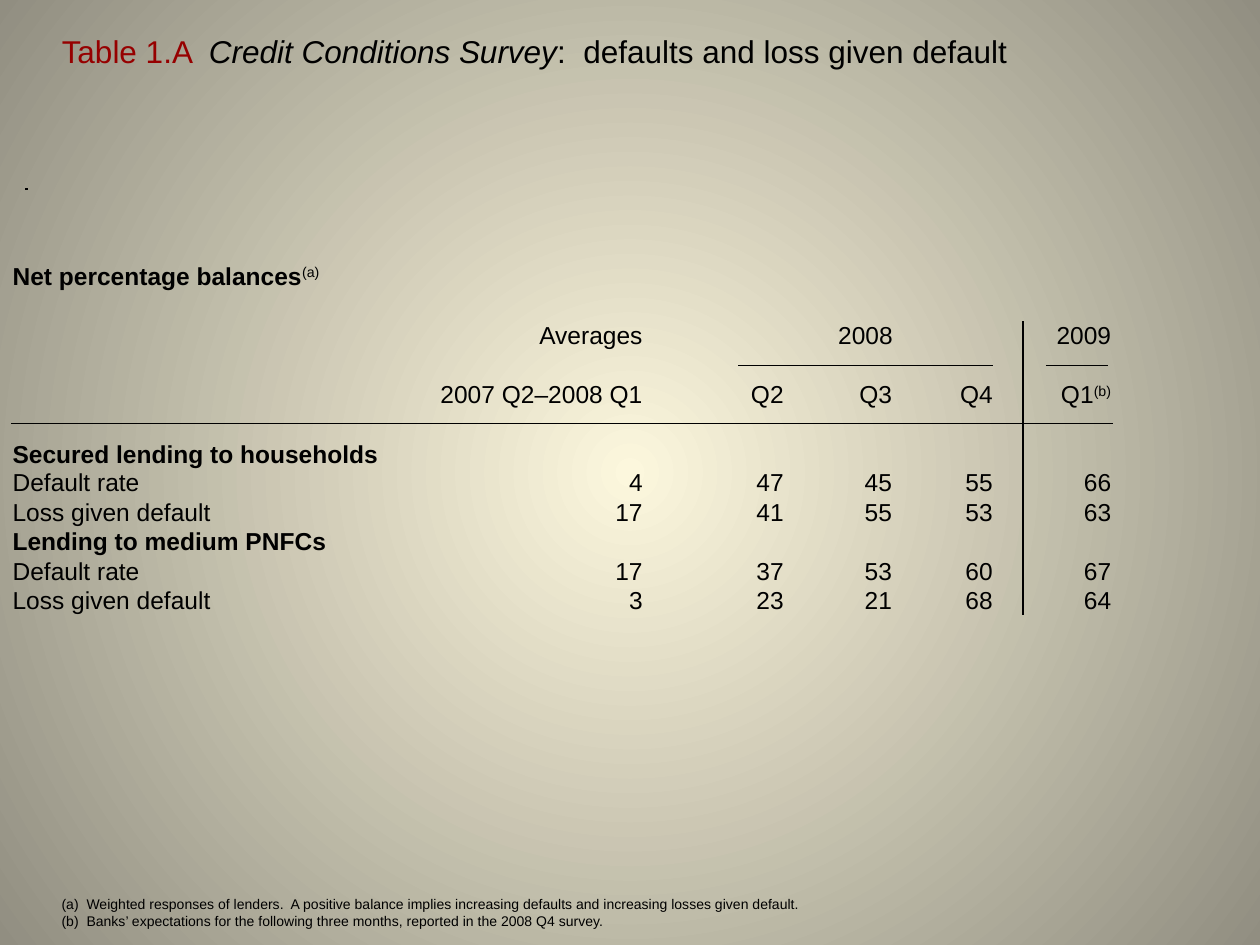
from pptx import Presentation
from pptx.util import Inches, Pt
from pptx.dml.color import RGBColor
from pptx.enum import shapes, text
from pptx.oxml import parse_xml
from pptx.oxml.ns import qn, nsdecls

L, R, C = text.PP_ALIGN.LEFT, text.PP_ALIGN.RIGHT, text.PP_ALIGN.CENTER


def rgb(code):
    return RGBColor.from_string(code)


def write(para, parts, size, align=L):
    para.alignment = align
    for words, color, bold, slant in parts:
        run = para.add_run()
        run.text = words
        font = run.font
        font.name, font.size = "Arial", Pt(size)
        font.bold, font.italic = bold, slant
        font.color.rgb = rgb(color)


prs = Presentation()
prs.slide_width, prs.slide_height = Inches(10), Inches(7.5)
slide = prs.slides.add_slide(prs.slide_layouts[5])

fill = slide.background.fill
fill.gradient()
for stop, code in zip(fill.gradient_stops, ("FCF7DD", "918E81")):
    stop.color.rgb = rgb(code)
grad = slide.element.find(".//" + qn("a:gradFill"))
grad.replace(grad.find(qn("a:lin")), parse_xml(
    f'<a:path {nsdecls("a")} path="circle">'
    '<a:fillToRect l="50000" t="50000" r="50000" b="50000"/></a:path>'))

title = slide.shapes.title
title.left, title.top = Inches(0.39), Inches(0.2)
title.width, title.height = Inches(9.14), Inches(0.4)
frame = title.text_frame
frame.vertical_anchor = text.MSO_ANCHOR.TOP
frame.auto_size = text.MSO_AUTO_SIZE.NONE
write(frame.paragraphs[0], [
    ("Table 1.A  ", "960000", False, False),
    ("Credit Conditions Survey", "000000", False, True),
    (":  defaults and loss given default", "000000", False, False)], 18)

notes = [
    "(a)  Weighted responses of lenders.  A positive balance implies "
    "increasing defaults and increasing losses given default.",
    "(b)  Banks’ expectations for the following three months, "
    "reported in the 2008 Q4 survey."]
frame = slide.shapes.add_textbox(
    Inches(0.39), Inches(7.06), Inches(9.22), Inches(0.37)).text_frame
frame.word_wrap = True
for i, note in enumerate(notes):
    para = frame.add_paragraph() if i else frame.paragraphs[0]
    write(para, [(note, "000000", False, False)], 8)

rows = [
    ["Net percentage balances|(a)", "", "", "", "", ""],
    ["", "Averages", "2008", "", "", "2009"],
    ["", "2007 Q2–2008 Q1", "Q2", "Q3", "Q4", "Q1|(b)"],
    ["Secured lending to households", "", "", "", "", ""],
    ["Default rate", "4", "47", "45", "55", "66"],
    ["Loss given default", "17", "41", "55", "53", "63"],
    ["Lending to medium PNFCs", "", "", "", "", ""],
    ["Default rate", "17", "37", "53", "60", "67"],
    ["Loss given default", "3", "23", "21", "68", "64"]]
edges = [0.1, 3.4, 5.86, 6.22, 7.08, 7.88, 8.82]
tall = [0.47] * 3 + [0.35] + [0.23] * 5
heads = (0, 3, 6)

grid = slide.shapes.add_table(
    len(rows), 6, Inches(0.1), Inches(1.96),
    Inches(edges[-1] - edges[0]), Inches(sum(tall))).table
grid.first_row = grid.horz_banding = False
style = slide.element.find(".//" + qn("a:tableStyleId"))
style.text = "{2D5ABB26-0587-4C30-8999-92F81FD0307C}"
for col, a, b in zip(grid.columns, edges, edges[1:]):
    col.width = Inches(b - a)
for i, row in enumerate(rows):
    grid.rows[i].height = Inches(tall[i])
    for j, words in enumerate(row):
        cell = grid.cell(i, j)
        cell.fill.background()
        cell.margin_left = cell.margin_top = cell.margin_bottom = 0
        cell.margin_right = Inches(0.76 if j == 1 else 0)
        cell.vertical_anchor = (text.MSO_ANCHOR.BOTTOM if i == 3
                                else text.MSO_ANCHOR.MIDDLE)
        para = cell.text_frame.paragraphs[0]
        para.font.size = Pt(14)
        align = L if j == 0 else C if words == "2008" else R
        parts = [(bit, "000000", i in heads and k == 0, False)
                 for k, bit in enumerate(words.split("|")) if bit]
        write(para, parts, 14, align)
grid.cell(1, 2).merge(grid.cell(1, 4))

for run in slide.element.iter(qn("a:r")):
    if run.find(qn("a:t")).text in ("(a)", "(b)"):
        run.find(qn("a:rPr")).set("baseline", "30000")

rules = [
    (0.22, 1.5, 0.2, 1.5),
    (5.86, 2.9, 7.88, 2.9),
    (8.3, 2.9, 8.79, 2.9),
    (0.09, 3.36, 8.83, 3.36),
    (8.12, 2.55, 8.12, 4.88)]
for ends in rules:
    rule = slide.shapes.add_connector(
        shapes.MSO_CONNECTOR.STRAIGHT, *map(Inches, ends))
    rule.line.color.rgb = rgb("000000")
    rule.line.width = Pt(0.75)
    rule.element.spPr.append(parse_xml(f'<a:effectLst {nsdecls("a")}/>'))

prs.save("out.pptx")
